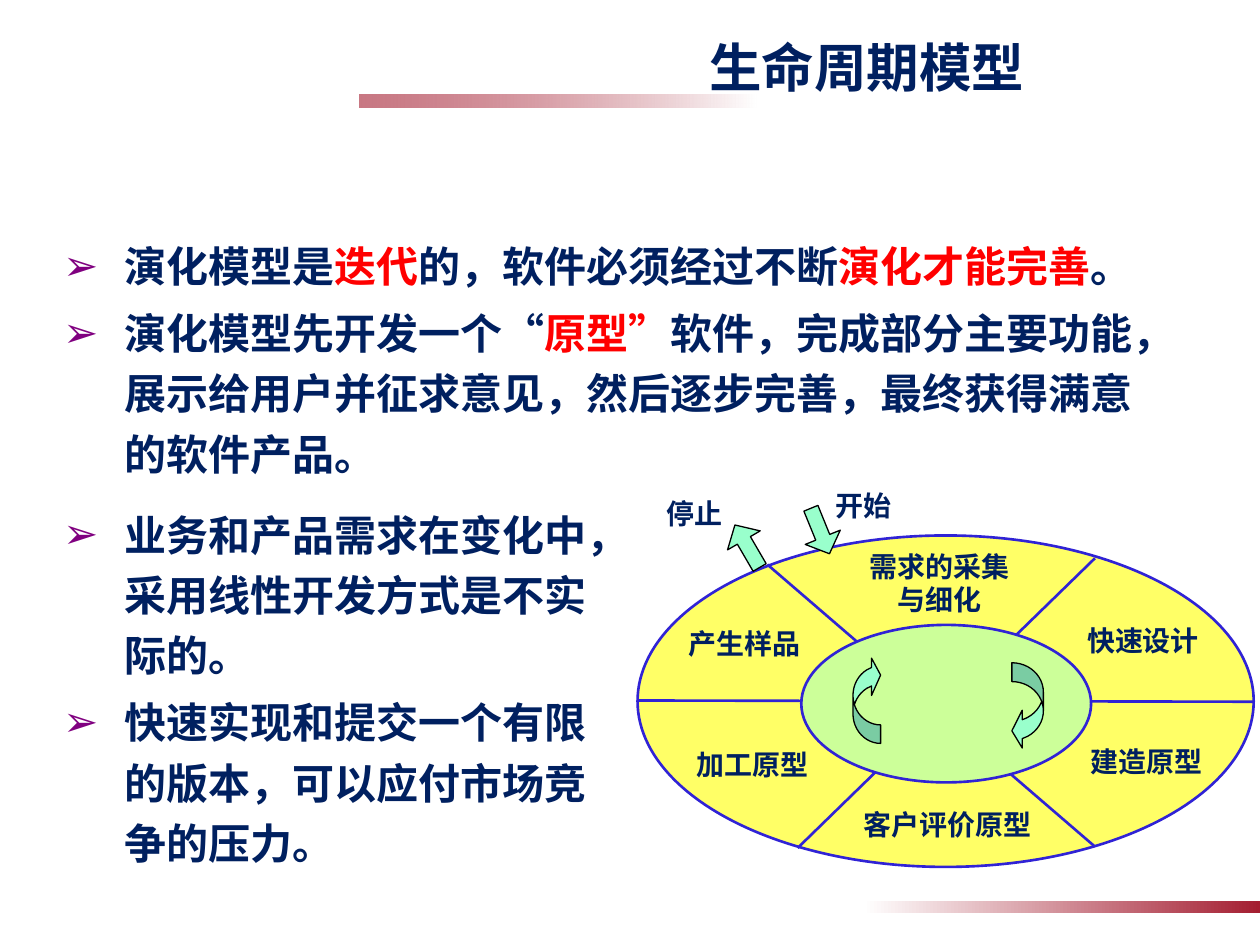
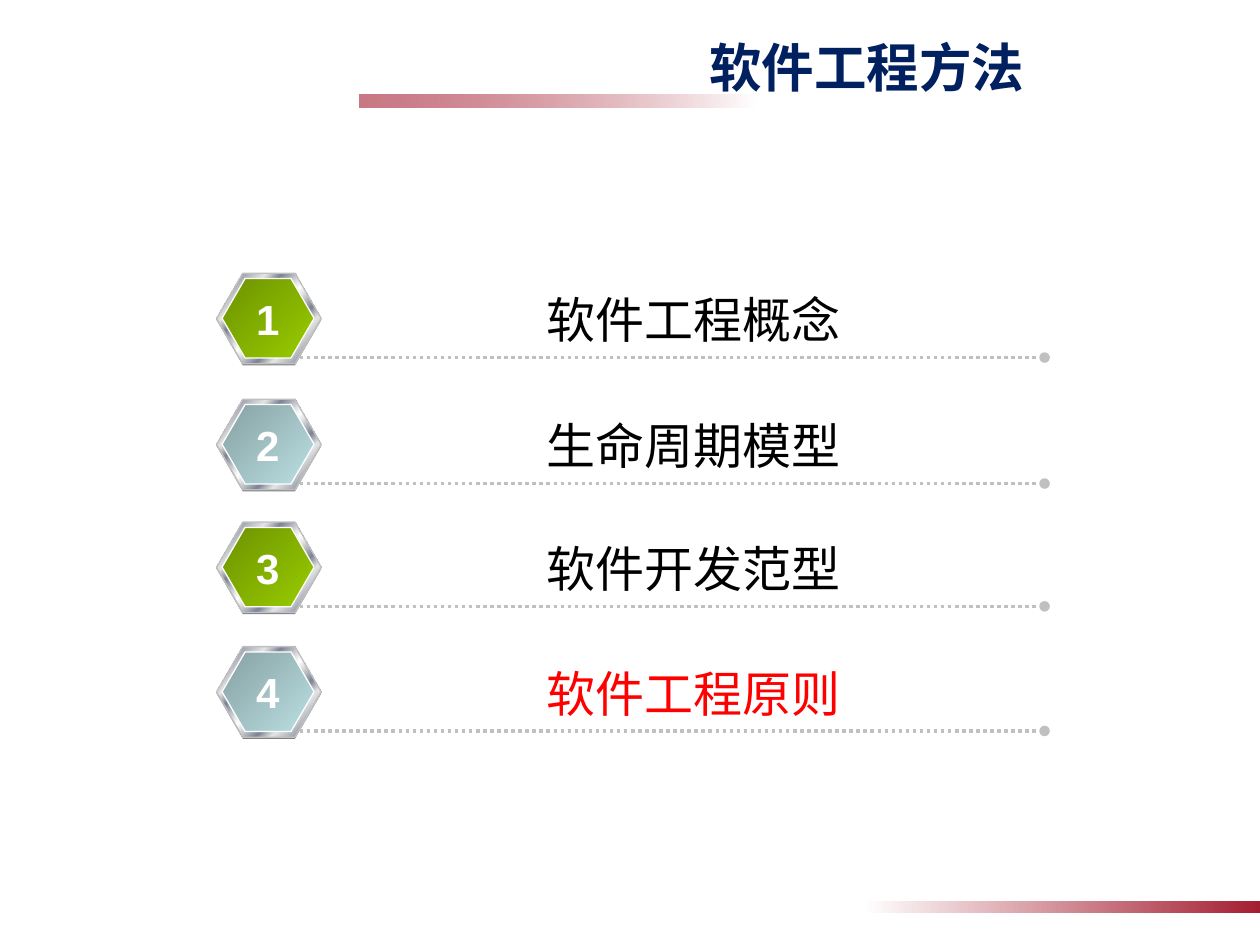
from lxml.etree import SubElement
from pptx import Presentation
from pptx.dml.color import RGBColor
from pptx.enum.dml import MSO_LINE
from pptx.enum.lang import MSO_LANGUAGE_ID
from pptx.enum.shapes import MSO_CONNECTOR, MSO_SHAPE
from pptx.enum.text import MSO_ANCHOR, MSO_AUTO_SIZE, PP_ALIGN
from pptx.oxml.ns import qn
from pptx.util import Pt

NAVY, RED, WHITE, BLACK, CRIMSON = "002060", "FF0000", "FFFFFF", "000000", "A41E31"
YELLOW, LIME, MINT, BLUE, SILVER = "FFFF66", "CCFF99", "99FFCC", "3023D5", "C0C0C0"
PURPLE = "800080"
CJK, SERIF, SANS = "Noto Sans CJK SC", "Times New Roman", "Arial"
INDENT = 35.3


def paint(shape, fill=None, line=None, width=0.75, angle=0):
    """Colour a shape or connector; a list of (percent, hex, alpha) makes a gradient."""
    if isinstance(fill, list):
        shape.fill.gradient()
        shape.fill.gradient_angle = -angle % 360
        stops = shape.element.spPr.find(qn("a:gradFill")).find(qn("a:gsLst"))
        for stop in list(stops):
            stops.remove(stop)
        for percent, colour, alpha in fill:
            stop = SubElement(stops, qn("a:gs"), pos=str(percent * 1000))
            tint = SubElement(stop, qn("a:srgbClr"), val=colour)
            if alpha < 100:
                SubElement(tint, qn("a:alpha"), val=str(alpha * 1000))
    elif fill:
        shape.fill.solid()
        shape.fill.fore_color.rgb = RGBColor.from_string(fill)
    if line:
        shape.line.color.rgb = RGBColor.from_string(line)
        shape.line.width = Pt(width)
    else:
        shape.line.fill.background()
    SubElement(shape.element.spPr, qn("a:effectLst"))


def write(frame, *paragraphs, size=16, font=SERIF, colour=NAVY, bold=True,
          align=PP_ALIGN.CENTER, bullet=None, wrap=True, anchor=MSO_ANCHOR.TOP):
    """Fill a text frame; parts of a paragraph between asterisks turn red."""
    frame.word_wrap = wrap
    frame.auto_size = MSO_AUTO_SIZE.NONE
    frame.vertical_anchor = anchor
    for index, text in enumerate(paragraphs):
        paragraph = frame.paragraphs[0] if index == 0 else frame.add_paragraph()
        paragraph.alignment = align
        if bullet:
            paragraph.line_spacing = 1.2
            paragraph.space_before = Pt(3.6)
            props = paragraph._p.get_or_add_pPr()
            props.set("marL", str(Pt(INDENT)))
            props.set("indent", str(-Pt(INDENT)))
            SubElement(SubElement(props, qn("a:buClr")), qn("a:srgbClr"), val=PURPLE)
            SubElement(props, qn("a:buChar"), char=bullet)
        for part, words in enumerate(text.split("*")):
            if not words:
                continue
            run = paragraph.add_run()
            run.text = words
            run.font.size, run.font.bold, run.font.name = Pt(size), bold, font
            run.font.language_id = MSO_LANGUAGE_ID.SIMPLIFIED_CHINESE
            run.font.color.rgb = RGBColor.from_string(RED if part % 2 else colour)
            SubElement(run._r.get_or_add_rPr(), qn("a:ea"), typeface=CJK)


prs = Presentation()
prs.slide_width, prs.slide_height = Pt(720), Pt(540)
model = prs.slides.add_slide(prs.slide_layouts[3])
agenda = prs.slides.add_slide(prs.slide_layouts[5])

# Bands on the master
for left, top, turn, alpha in ((205.2, 54, 180, 60), (493.2, 514.8, 0, 100)):
    band = model.shapes.add_shape(MSO_SHAPE.RECTANGLE, Pt(left), Pt(top), Pt(226.8), Pt(7.2))
    band.rotation = turn
    paint(band, [(0, WHITE, 100), (100, CRIMSON, alpha)])
    prs.slide_master.shapes.element.append(band.element)

# Titles
for slide, heading in ((model, "生命周期模型"), (agenda, "软件工程方法")):
    title = slide.shapes.title
    title.left, title.top, title.width, title.height = Pt(270.7), Pt(15.1), Pt(449.3), Pt(45.4)
    write(title.text_frame, heading, size=30, font=CJK, anchor=MSO_ANCHOR.MIDDLE)

# Slide 1: the evolutionary model
points = (
    (128.2, 643, 275, ("演化模型是*迭代*的，软件必须经过不断*演化才能完善*。",
                       "演化模型先开发一个“*原型”*软件，完成部分主要功能，展示给用户并征求意见，"
                       "然后逐步完善，最终获得满意的软件产品。")),
    (281.5, 323.3, 230.4, ("业务和产品需求在变化中，采用线性开发方式是不实际的。",
                           "快速实现和提交一个有限的版本，可以应付市场竞争的压力。")),
)
for number, (top, width, height, items) in enumerate(points, start=1):
    body = model.placeholders[number]
    body.left, body.top, body.width, body.height = Pt(28.8), Pt(top), Pt(width), Pt(height)
    write(body.text_frame, *items, size=24, align=PP_ALIGN.LEFT, bullet="➢")

cycle = model.shapes.add_shape(MSO_SHAPE.OVAL, Pt(364.3), Pt(306), Pt(352.1), Pt(189.4))
paint(cycle, YELLOW, BLUE, 1.5)
for x1, y1, x2, y2 in ((625.7, 319, 455.8, 484.6), (364.3, 400.3, 717.1, 401),
                       (438.5, 322.6, 625.7, 483.8)):
    divider = model.shapes.add_connector(MSO_CONNECTOR.STRAIGHT, Pt(x1), Pt(y1), Pt(x2), Pt(y2))
    paint(divider, line=BLUE, width=1.5)
core = model.shapes.add_shape(MSO_SHAPE.OVAL, Pt(457.9), Pt(357.1), Pt(165.6), Pt(90))
paint(core, LIME, BLUE, 1.5)

arrows = (
    (MSO_SHAPE.DOWN_ARROW, 416.2, 298.1, 21.6, 28.1, 149.8, (0.4, 0.47)),
    (MSO_SHAPE.DOWN_ARROW, 457.9, 289.4, 21.6, 28.1, 337.8, (0.4, 0.47)),
    (MSO_SHAPE.CURVED_LEFT_ARROW, 578.2, 378.7, 18, 49.7, 0, (0.6, 1.2, 0.33)),
    (MSO_SHAPE.CURVED_LEFT_ARROW, 487.4, 375.1, 15.8, 49.7, 180, (0.67, 1.35, 0.33)),
)
for kind, left, top, width, height, turn, bends in arrows:
    arrow = model.shapes.add_shape(kind, Pt(left), Pt(top), Pt(width), Pt(height))
    arrow.rotation = turn
    for index, bend in enumerate(bends):
        arrow.adjustments[index] = bend
    paint(arrow, MINT, BLACK)

stages = (
    (474.5, 310.3, 124.6, PP_ALIGN.CENTER, ("需求的采集", "与细化")),
    (599.8, 352.8, 106.6, PP_ALIGN.CENTER, ("快速设计",)),
    (601.9, 421.9, 106.6, PP_ALIGN.CENTER, ("建造原型",)),
    (470.2, 457.9, 142.6, PP_ALIGN.CENTER, ("客户评价原型",)),
    (376.6, 423.4, 106.6, PP_ALIGN.CENTER, ("加工原型",)),
    (372.2, 354.2, 106.6, PP_ALIGN.CENTER, ("产生样品",)),
    (373.7, 280.1, 74.9, PP_ALIGN.JUSTIFY, ("停止",)),
    (470.2, 275.8, 74.9, PP_ALIGN.JUSTIFY, ("开始",)),
)
for left, top, width, align, lines in stages:
    stage = model.shapes.add_textbox(Pt(left), Pt(top), Pt(width), Pt(13.4 * len(lines) + 13))
    write(stage.text_frame, *lines, align=align)

# Slide 2: agenda with numbered hexagons
GREEN = [(0, "6D9200", 100), (100, "99CC00", 100)]
TEAL = [(0, "86A0A2", 100), (100, "BBE0E3", 100)]
METAL = [(percent, colour, 100) for percent, colour in (
    (0, "E6E6E6"), (8, "7D8496"), (26, "E6E6E6"), (34, "7D8496"), (46, "E6E6E6"),
    (50, WHITE), (54, "E6E6E6"), (66, "7D8496"), (74, "E6E6E6"), (92, "7D8496"),
    (100, "E6E6E6"))]
topics = ((204.3, "软件工程概念"), (276.3, "生命周期模型"),
          (346.5, "软件开发范型"), (417.7, "*软件工程原则*"))
for number, (base, topic) in enumerate(topics, start=1):
    face = GREEN if number % 2 else TEAL
    for left, rise, width, height, fill, edge in (
            (123.8, 47.3, 59.8, 51.8, "808080", None),
            (123.8, 48.2, 59.8, 51.8, METAL, SILVER),
            (126.9, 45.1, 52.6, 45.4, face, WHITE)):
        hexagon = agenda.shapes.add_shape(MSO_SHAPE.HEXAGON, Pt(left), Pt(base - rise),
                                          Pt(width), Pt(height))
        hexagon.adjustments[0] = 0.29
        paint(hexagon, fill, edge, angle=45)

    rule = agenda.shapes.add_connector(MSO_CONNECTOR.STRAIGHT, Pt(171.4), Pt(base),
                                       Pt(596.9), Pt(base))
    paint(rule, line=SILVER, width=2)
    rule.line.dash_style = MSO_LINE.ROUND_DOT
    SubElement(rule.element.spPr.find(qn("a:ln")), qn("a:tailEnd"), type="oval")

    label = agenda.shapes.add_textbox(Pt(195.8), Pt(base - 42.3), Pt(401), Pt(41))
    write(label.text_frame, topic, size=28, font=CJK, colour=BLACK, bold=False)
    digit = agenda.shapes.add_textbox(Pt(139), Pt(base - 40.2), Pt(28.1), Pt(36))
    write(digit.text_frame, str(number), size=24, font=SANS, colour=WHITE, wrap=False)

prs.save("out.pptx")
